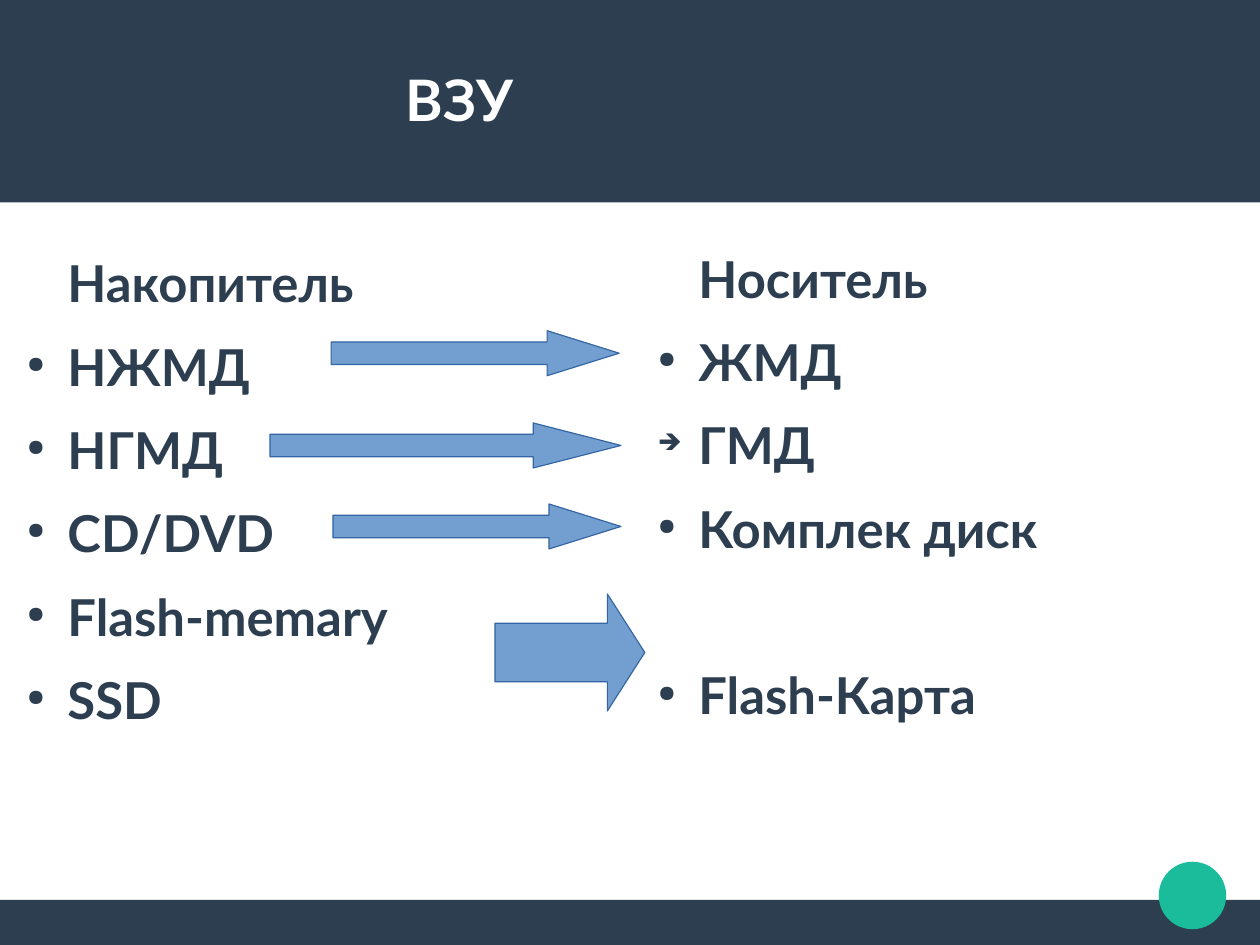
"""Builds the slide that pairs storage drives with their media."""
from lxml.etree import SubElement
from pptx import Presentation
from pptx.dml.color import RGBColor
from pptx.enum.shapes import MSO_SHAPE as Shape
from pptx.enum.text import MSO_ANCHOR as Anchor, MSO_AUTO_SIZE as AutoSize, PP_ALIGN as Align
from pptx.oxml.ns import qn
from pptx.util import Cm, Pt

NAVY = RGBColor(0x2C, 0x3E, 0x50)
TEAL = RGBColor(0x1A, 0xBC, 0x9C)
BLUE = RGBColor(0x72, 0x9F, 0xCF)
EDGE = RGBColor(0x34, 0x65, 0xA4)
WHITE = RGBColor(0xFF, 0xFF, 0xFF)
COLUMNS, ROWS = 28, 21
DOT, POINTER = "●", "➔"


class DriveSlide:
    """Holds the style and the slide, on a grid of 28 columns by 21 rows."""

    font = "Lato"
    heading_size, list_size = 36, 32
    space_after, skipped_line = 14.1, 52.5
    indent, hanging = 1.2, 0.9

    def __init__(self, deck):
        self.cell = deck.slide_width / COLUMNS
        self.slide = deck.slides.add_slide(deck.slide_layouts[5])
        self.shapes = self.slide.shapes

    def grid(self, *cells):
        return [round(count * self.cell) for count in cells]

    def figure(self, kind, box, fill, edge=None):
        figure = self.shapes.add_shape(kind, *self.grid(*box))
        figure.shadow.inherit = False
        figure.fill.solid()
        figure.fill.fore_color.rgb = fill
        if edge is None:
            figure.line.fill.background()
        else:
            figure.line.color.rgb = edge
            figure.line.width = Pt(0)
        return figure

    def arrow(self, box, head):
        arrow = self.figure(Shape.RIGHT_ARROW, box, BLUE, EDGE)
        arrow.adjustments[0], arrow.adjustments[1] = 0.5, head

    def frame(self, holder, anchor):
        frame = holder.text_frame
        frame.word_wrap = True
        frame.auto_size = AutoSize.NONE
        frame.vertical_anchor = anchor
        frame.margin_left = frame.margin_right = frame.margin_top = frame.margin_bottom = 0
        return frame

    def style(self, paragraph, size, color):
        font = paragraph.font
        font.name, font.size, font.bold = self.font, Pt(size), True
        font.color.rgb = color

    def shift(self, paragraph, indent, hanging=0):
        margins = paragraph._p.get_or_add_pPr()
        left, first = self.grid(indent, -hanging)
        margins.set("marL", str(left))
        margins.set("indent", str(first))
        return margins

    def title(self, text, box, indent):
        title = self.shapes.title
        title.left, title.top, title.width, title.height = self.grid(*box)
        self.shapes._spTree.append(title._element)
        heading = self.frame(title, Anchor.MIDDLE).paragraphs[0]
        heading.text = text
        heading.alignment = Align.LEFT
        self.shift(heading, indent)
        self.style(heading, self.heading_size, WHITE)

    def bullet(self, paragraph, mark):
        margins = self.shift(paragraph, self.indent, self.hanging)
        color = SubElement(margins, qn("a:buClr"))
        SubElement(color, qn("a:srgbClr"), val=str(NAVY))
        SubElement(margins, qn("a:buSzPct"), val="45000")
        SubElement(margins, qn("a:buChar"), char=mark)

    def column(self, box, heading, items):
        frame = self.frame(self.shapes.add_textbox(*self.grid(*box)), Anchor.TOP)
        for number, (text, mark, skips) in enumerate([(heading, None, 0), *items]):
            paragraph = frame.add_paragraph() if number else frame.paragraphs[0]
            paragraph.text = text
            paragraph.space_before = Pt(skips * self.skipped_line)
            paragraph.space_after = Pt(self.space_after)
            if mark:
                self.bullet(paragraph, mark)
            else:
                self.shift(paragraph, self.indent)
            self.style(paragraph, self.list_size, NAVY)


deck = Presentation()
deck.slide_width, deck.slide_height = Cm(COLUMNS), Cm(ROWS)
storage = DriveSlide(deck)

storage.figure(Shape.RECTANGLE, (0, 20, COLUMNS, 1), NAVY)
storage.figure(Shape.RECTANGLE, (0, 0, COLUMNS, 4.5), NAVY)
storage.figure(Shape.OVAL, (25.75, 19.15, 1.5, 1.5), TEAL)
storage.title("ВЗУ", (1, 0.85, 26, 2.67), indent=8.02)

drives = ["НЖМД", "НГМД", "CD/DVD", "Flash-memary", "SSD"]
media = [("ЖМД", DOT, 0), ("ГМД", POINTER, 0), ("Комплек диск", DOT, 0), ("Flash-Карта", DOT, 1)]
storage.column((0.3, 5.6, 12.68, 14), "Накопитель", [(drive, DOT, 0) for drive in drives])
storage.column((14.32, 5.5, 12.68, 14), "Носитель", media)

for box, head in [
    ((7.36, 7.35, 6.4, 1), 1.6),
    ((6, 9.4, 7.8, 1), 1.95),
    ((7.4, 11.2, 6.4, 1), 1.6),
    ((11, 13.2, 3.33, 2.6), 0.32),
]:
    storage.arrow(box, head)

deck.save("out.pptx")
